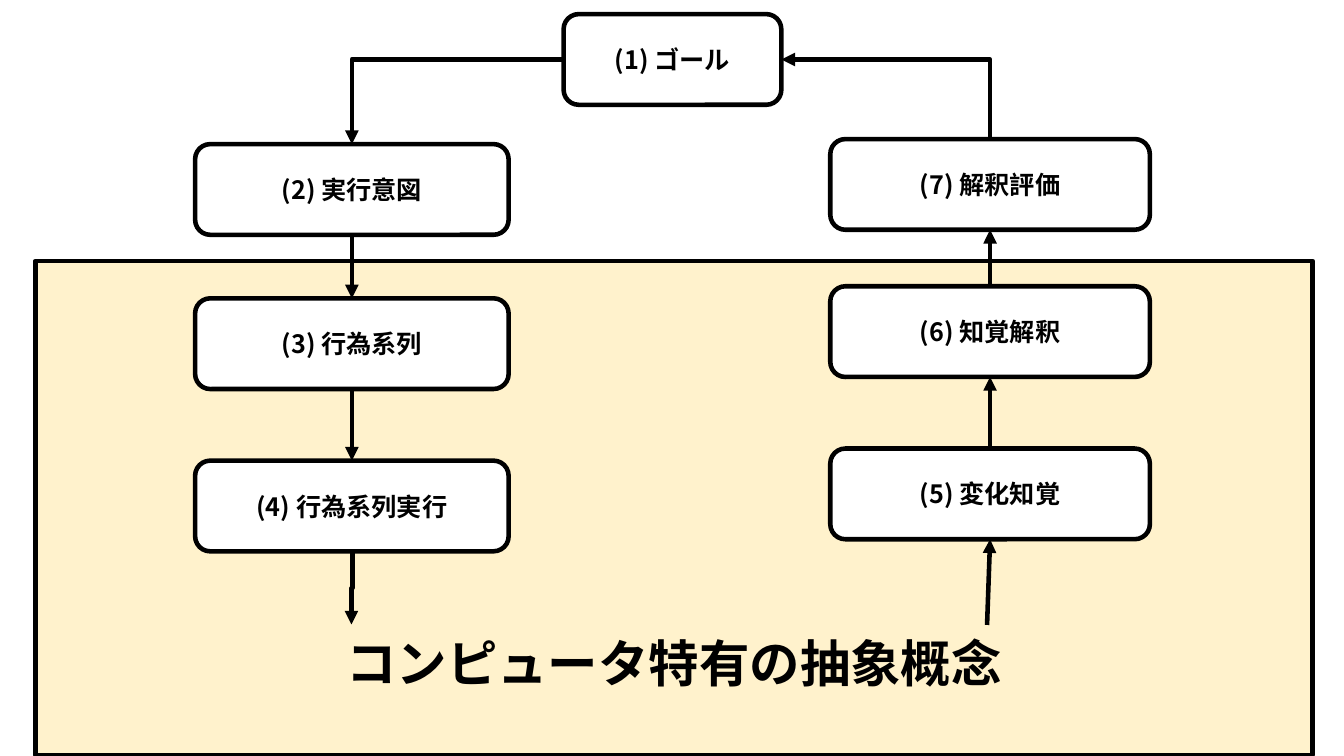
from lxml import etree
from pptx import Presentation
from pptx import util as u
from pptx.dml.color import RGBColor
from pptx.enum import shapes, text
from pptx.oxml import ns

BLACK = RGBColor(0x00, 0x00, 0x00)
WHITE = RGBColor(0xFF, 0xFF, 0xFF)
CREAM = RGBColor(0xFF, 0xF2, 0xCC)
FONT = "Noto Sans CJK JP"
LINE_WIDTH = u.Pt(3.25)

BOX_HEIGHT = 0.9
GOAL_WIDTH, GOAL_TOP = 2.16, 0.14
GOAL_CENTER = 6.67
ACTION_WIDTH, ACTION_CENTER = 3.11, 3.49
PERCEPTION_WIDTH, PERCEPTION_CENTER = 3.17, 9.82
CONCEPT_TOP = 6.2

ACTIONS = [("(2) 実行意図", 1.43), ("(3) 行為系列", 2.96), ("(4) 行為系列実行", 4.57)]
PERCEPTIONS = [("(7) 解釈評価", 1.38), ("(6) 知覚解釈", 2.84), ("(5) 変化知覚", 4.45)]


def add_box(s, kind, label, bounds, fill, size, anchor, bottom=0.05):
    sp = s.shapes.add_shape(kind, *map(u.Inches, bounds))
    sp.shadow.inherit = False
    sp.fill.solid()
    sp.fill.fore_color.rgb = fill
    sp.line.color.rgb = BLACK
    sp.line.width = LINE_WIDTH
    tf = sp.text_frame
    frame = {"word_wrap": True, "vertical_anchor": anchor, "margin_bottom": u.Inches(bottom)}
    for name, value in frame.items():
        setattr(tf, name, value)
    p = tf.paragraphs[0]
    p.alignment = text.PP_ALIGN.CENTER
    r = p.add_run()
    r.text = label
    for name, value in {"name": FONT, "size": u.Pt(size), "bold": True}.items():
        setattr(r.font, name, value)
    r.font.color.rgb = BLACK
    etree.SubElement(r.font._element, ns.qn("a:ea")).set("typeface", FONT)
    return sp


def add_step(s, label, center, top, width):
    bounds = (center - width / 2, top, width, BOX_HEIGHT)
    add_box(s, shapes.MSO_SHAPE.ROUNDED_RECTANGLE, label, bounds, WHITE, 18,
            text.MSO_ANCHOR.MIDDLE)


def add_arrow(s, start, end, preset="line", arrow_end="tailEnd", rotation=0):
    kind = shapes.MSO_CONNECTOR.STRAIGHT if preset == "line" else shapes.MSO_CONNECTOR.ELBOW
    cx = s.shapes.add_connector(kind, *map(u.Inches, start + end))
    cx.line.color.rgb = BLACK
    cx.line.width = LINE_WIDTH
    props = cx._element.spPr
    props.find(ns.qn("a:prstGeom")).set("prst", preset)
    if rotation:
        props.find(ns.qn("a:xfrm")).set("rot", str(rotation * 60000))
    line = props.find(ns.qn("a:ln"))
    etree.SubElement(line, ns.qn("a:" + arrow_end)).set("type", "triangle")
    etree.SubElement(props, ns.qn("a:effectLst"))


def add_column(s, steps, center, width, upward):
    for label, top in steps:
        add_step(s, label, center, top, width)
    for (_, upper), (_, lower) in zip(steps, steps[1:]):
        ends = [(center, upper + BOX_HEIGHT), (center, lower)]
        add_arrow(s, *(reversed(ends) if upward else ends))


def main():
    prs = Presentation()
    prs.slide_width, prs.slide_height = u.Inches(13.33), u.Inches(7.5)
    s = prs.slides.add_slide(prs.slide_layouts[6])

    add_box(s, shapes.MSO_SHAPE.RECTANGLE, "コンピュータ特有の抽象概念",
            (0.35, 2.59, 12.67, 4.9), CREAM, 36, text.MSO_ANCHOR.BOTTOM, 0.62)
    add_step(s, "(1) ゴール", GOAL_CENTER, GOAL_TOP, GOAL_WIDTH)
    add_column(s, ACTIONS, ACTION_CENTER, ACTION_WIDTH, upward=False)
    add_column(s, PERCEPTIONS, PERCEPTION_CENTER, PERCEPTION_WIDTH, upward=True)

    goal_middle = GOAL_TOP + BOX_HEIGHT / 2
    goal_left = GOAL_CENTER - GOAL_WIDTH / 2
    add_arrow(s, (goal_left, goal_middle), (ACTION_CENTER, ACTIONS[0][1]), "bentConnector2")
    add_arrow(s, (goal_left + GOAL_WIDTH, goal_middle), (PERCEPTION_CENTER, PERCEPTIONS[0][1]),
              "bentConnector2", "headEnd")
    add_arrow(s, (3.13, 5.83), (3.85, 5.84), "bentConnector3", rotation=90)
    add_arrow(s, (9.79, CONCEPT_TOP), (PERCEPTION_CENTER, PERCEPTIONS[-1][1] + BOX_HEIGHT))

    prs.save("out.pptx")


main()
